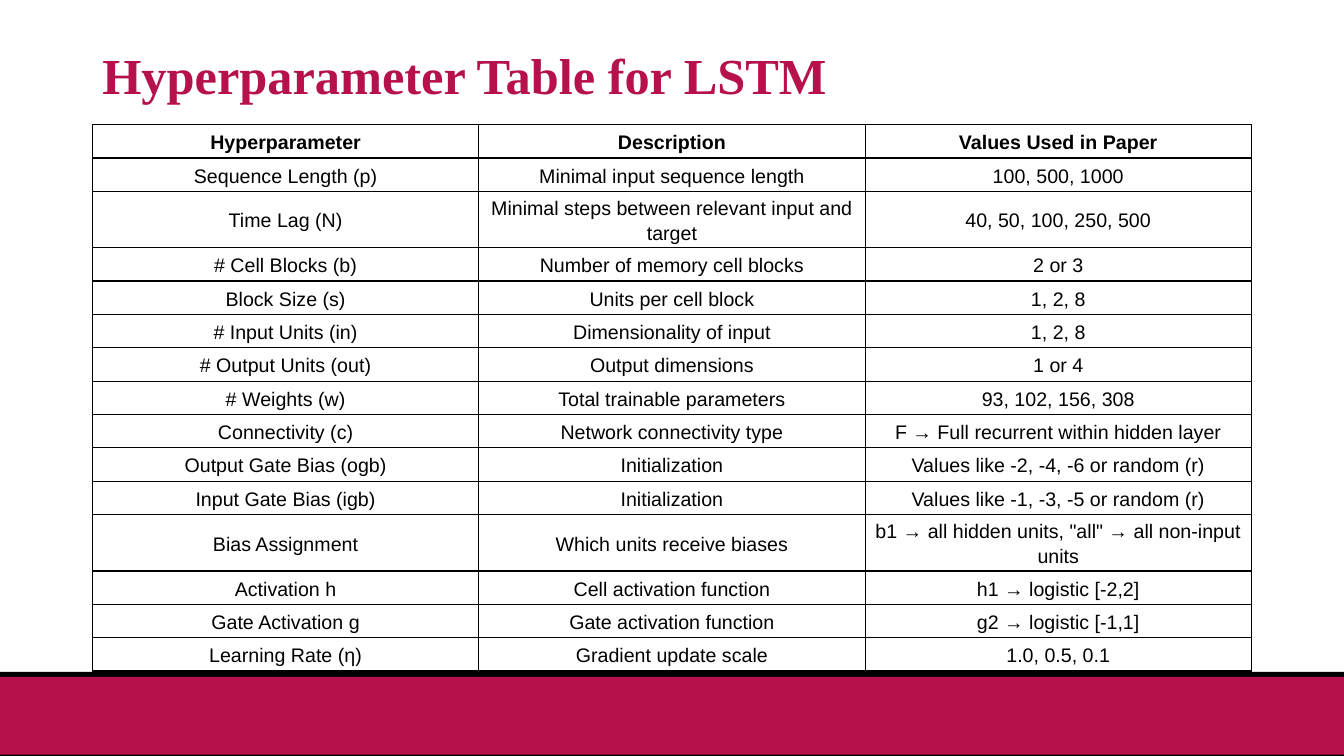
import lxml.etree
import pptx
import pptx.dml.color
import pptx.enum.shapes
import pptx.enum.text
import pptx.oxml.ns
import pptx.util
from pptx.util import Cm

CRIMSON = "B6114D"
BLACK = "000000"


def color(hex_string):
    return pptx.dml.color.RGBColor.from_string(hex_string)


def add_borders(cell, hex_string, width):
    properties = cell._tc.get_or_add_tcPr()
    for side in ("a:lnL", "a:lnR", "a:lnT", "a:lnB"):
        line = lxml.etree.SubElement(properties, pptx.oxml.ns.qn(side), w=str(width))
        fill = lxml.etree.SubElement(line, pptx.oxml.ns.qn("a:solidFill"))
        lxml.etree.SubElement(fill, pptx.oxml.ns.qn("a:srgbClr"), val=hex_string)


presentation = pptx.Presentation()
presentation.slide_width = Cm(33.87)
presentation.slide_height = Cm(19.05)
slide = presentation.slides.add_slide(presentation.slide_layouts[6])

# Footer: crimson band over a black one
for top, height, fill_color in [(16.93, 2.12, BLACK), (17.06, 1.96, CRIMSON)]:
    band = slide.shapes.add_shape(
        pptx.enum.shapes.MSO_SHAPE.RECTANGLE,
        0, Cm(top), presentation.slide_width, Cm(height))
    band.shadow.inherit = False
    band.fill.solid()
    band.fill.fore_color.rgb = color(fill_color)
    band.line.fill.background()

# Title
title = slide.shapes.add_textbox(Cm(2.33), Cm(0.79), Cm(22.89), Cm(2.36))
title.text_frame.word_wrap = True
title.text_frame.vertical_anchor = pptx.enum.text.MSO_ANCHOR.MIDDLE
title.text_frame.text = "Hyperparameter Table for LSTM"
paragraph = title.text_frame.paragraphs[0]
paragraph.line_spacing = 0.9
font = paragraph.runs[0].font
font.name = "Times New Roman"
font.size = pptx.util.Pt(36)
font.bold = True
font.color.rgb = color(CRIMSON)

# Hyperparameter table
rows = [
    ("Hyperparameter", "Description", "Values Used in Paper"),
    ("Sequence Length (p)", "Minimal input sequence length", "100, 500, 1000"),
    ("Time Lag (N)", "Minimal steps between relevant input and target", "40, 50, 100, 250, 500"),
    ("# Cell Blocks (b)", "Number of memory cell blocks", "2 or 3"),
    ("Block Size (s)", "Units per cell block", "1, 2, 8"),
    ("# Input Units (in)", "Dimensionality of input", "1, 2, 8"),
    ("# Output Units (out)", "Output dimensions", "1 or 4"),
    ("# Weights (w)", "Total trainable parameters", "93, 102, 156, 308"),
    ("Connectivity (c)", "Network connectivity type", "F → Full recurrent within hidden layer"),
    ("Output Gate Bias (ogb)", "Initialization", "Values like -2, -4, -6 or random (r)"),
    ("Input Gate Bias (igb)", "Initialization", "Values like -1, -3, -5 or random (r)"),
    ("Bias Assignment", "Which units receive biases",
     'b1 → all hidden units, "all" → all non-input units'),
    ("Activation h", "Cell activation function", "h1 → logistic [-2,2]"),
    ("Gate Activation g", "Gate activation function", "g2 → logistic [-1,1]"),
    ("Learning Rate (η)", "Gradient update scale", "1.0, 0.5, 0.1"),
]
row_height = Cm(0.84)
table = slide.shapes.add_table(
    len(rows), len(rows[0]), Cm(2.33), Cm(3.14), Cm(29.21), row_height * len(rows)).table
table.horz_banding = False
for table_row in table.rows:
    table_row.height = row_height

for row_index, row in enumerate(rows):
    for column_index, text in enumerate(row):
        cell = table.cell(row_index, column_index)
        add_borders(cell, BLACK, pptx.util.Pt(1))
        cell.fill.background()
        cell.vertical_anchor = pptx.enum.text.MSO_ANCHOR.MIDDLE
        cell.margin_left = cell.margin_right = Cm(0.03)
        cell.margin_top = cell.margin_bottom = Cm(0.03)
        cell.text_frame.text = text
        paragraph = cell.text_frame.paragraphs[0]
        paragraph.alignment = pptx.enum.text.PP_ALIGN.CENTER
        paragraph.line_spacing = 1.15
        paragraph.space_after = pptx.util.Pt(8)
        font = paragraph.runs[0].font
        font.name = "Arial"
        font.size = pptx.util.Pt(14)
        font.bold = row_index == 0
        font.color.rgb = color(BLACK)

presentation.save("out.pptx")
